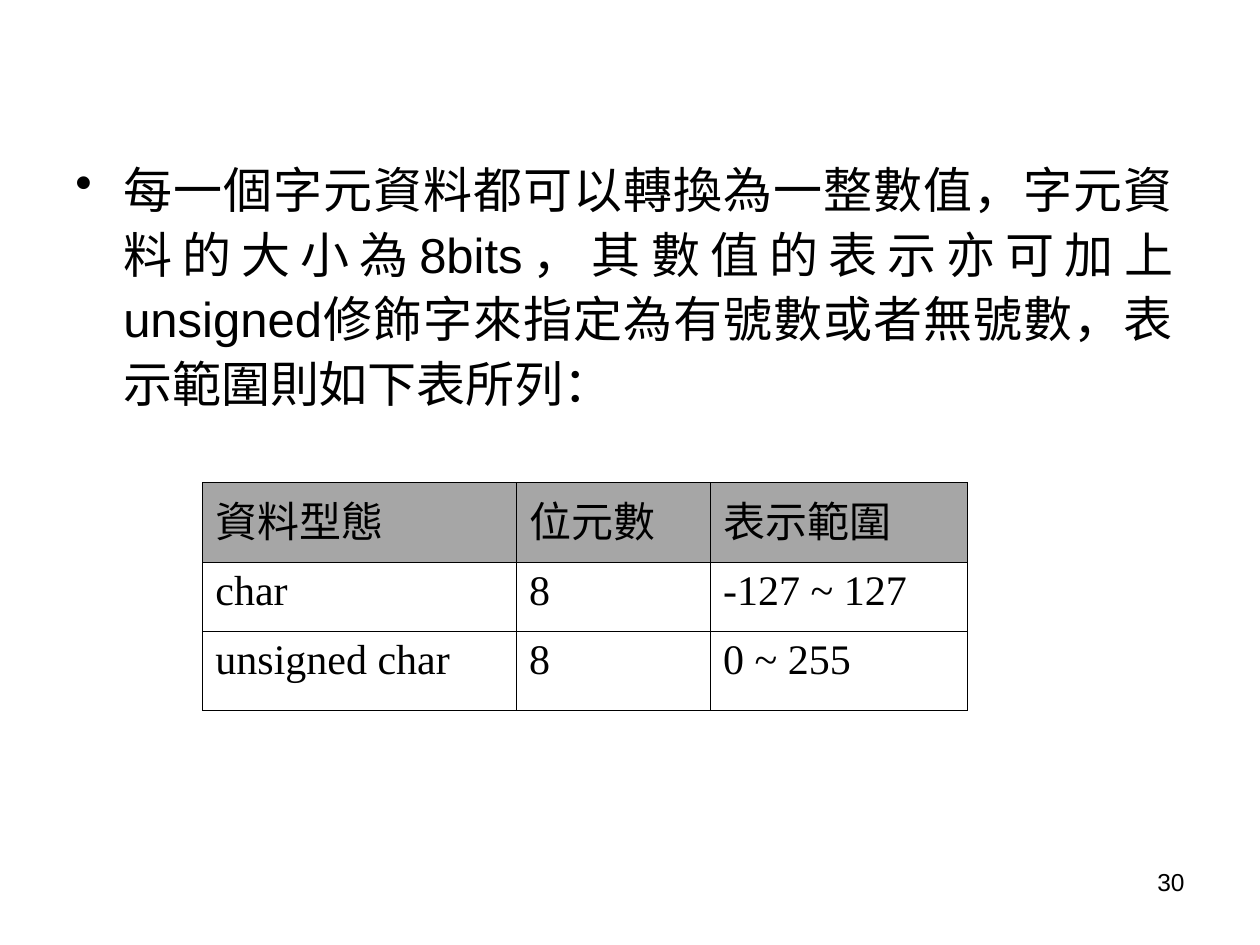
from lxml.etree import SubElement
from pptx import Presentation
from pptx.dml.color import RGBColor
from pptx.enum.text import PP_ALIGN
from pptx.oxml.ns import qn
from pptx.util import Emu, Inches, Pt

WIDTH, HEIGHT = 10, 7.5
BLACK, GRAY = "000000", "A6A6A6"
INTRO = ("每一個字元資料都可以轉換為一整數值，字元資料的大小為8bits，"
         "其數值的表示亦可加上unsigned修飾字來指定為有號數或者無號數，"
         "表示範圍則如下表所列：")
RANGES = [
    ("資料型態", "位元數", "表示範圍"),
    ("char", "8", "-127 ~ 127"),
    ("unsigned char", "8", "0 ~ 255"),
]
COLUMNS = (2.49, 1.54, 2.04)
ROWS = (0.63, 0.55, 0.63)
PAGE = "30"


def color(value):
    return RGBColor.from_string(value)


def write(frame, text, size, font="Arial", align=None, spacing=None, bullet=None, indent=0):
    frame.word_wrap = True
    paragraph = frame.paragraphs[0]
    if bullet:
        properties = paragraph._p.get_or_add_pPr()
        properties.set("marL", str(Inches(indent)))
        properties.set("indent", str(-Inches(indent)))
        SubElement(properties, qn("a:buChar"), char=bullet)
    if align is not None:
        paragraph.alignment = align
    if spacing:
        paragraph.line_spacing = spacing
    paragraph.space_before = Pt(0)
    run = paragraph.add_run()
    run.text = text
    run.font.name = font
    run.font.size = Pt(size)
    run.font.color.rgb = color(BLACK)


def add_text(slide, box, text, size, **form):
    frame = slide.shapes.add_textbox(*map(Inches, box)).text_frame
    write(frame, text, size, **form)


def outline(cell, line_color, points):
    properties = cell._tc.get_or_add_tcPr()
    for side in ("lnL", "lnR", "lnT", "lnB"):
        line = SubElement(properties, qn(f"a:{side}"), w=str(Pt(points)))
        SubElement(SubElement(line, qn("a:solidFill")), qn("a:srgbClr"), val=line_color)


def add_ranges(slide, left, top):
    size = sum(COLUMNS), sum(ROWS)
    table = slide.shapes.add_table(len(ROWS), len(COLUMNS),
                                   *map(Inches, (left, top, *size))).table
    table.horz_banding = table.first_row = False
    for column, width in zip(table.columns, COLUMNS):
        column.width = Inches(width)
    for row, height in zip(table.rows, ROWS):
        row.height = Inches(height)
    for r, entries in enumerate(RANGES):
        for c, entry in enumerate(entries):
            cell = table.cell(r, c)
            write(cell.text_frame, entry, 24, font="Times New Roman")
            outline(cell, BLACK, 0.45)
            if r == 0:
                cell.fill.solid()
                cell.fill.fore_color.rgb = color(GRAY)
            else:
                cell.fill.background()


def main():
    deck = Presentation()
    deck.slide_width, deck.slide_height = Inches(WIDTH), Inches(HEIGHT)
    slide = deck.slides.add_slide(deck.slide_layouts[6])
    margin = 0.05 * WIDTH
    add_text(slide, (margin, 1.17, 8.91, 5.5), INTRO, 28, align=PP_ALIGN.JUSTIFY,
             spacing=1.1, bullet="•", indent=0.38)
    add_ranges(slide, 1.61, 3.83)
    page_width = 2.33
    add_text(slide, (WIDTH - margin - page_width, 6.83, page_width, 0.52), PAGE, 14,
             align=PP_ALIGN.RIGHT)
    deck.save("out.pptx")


if __name__ == "__main__":
    main()
